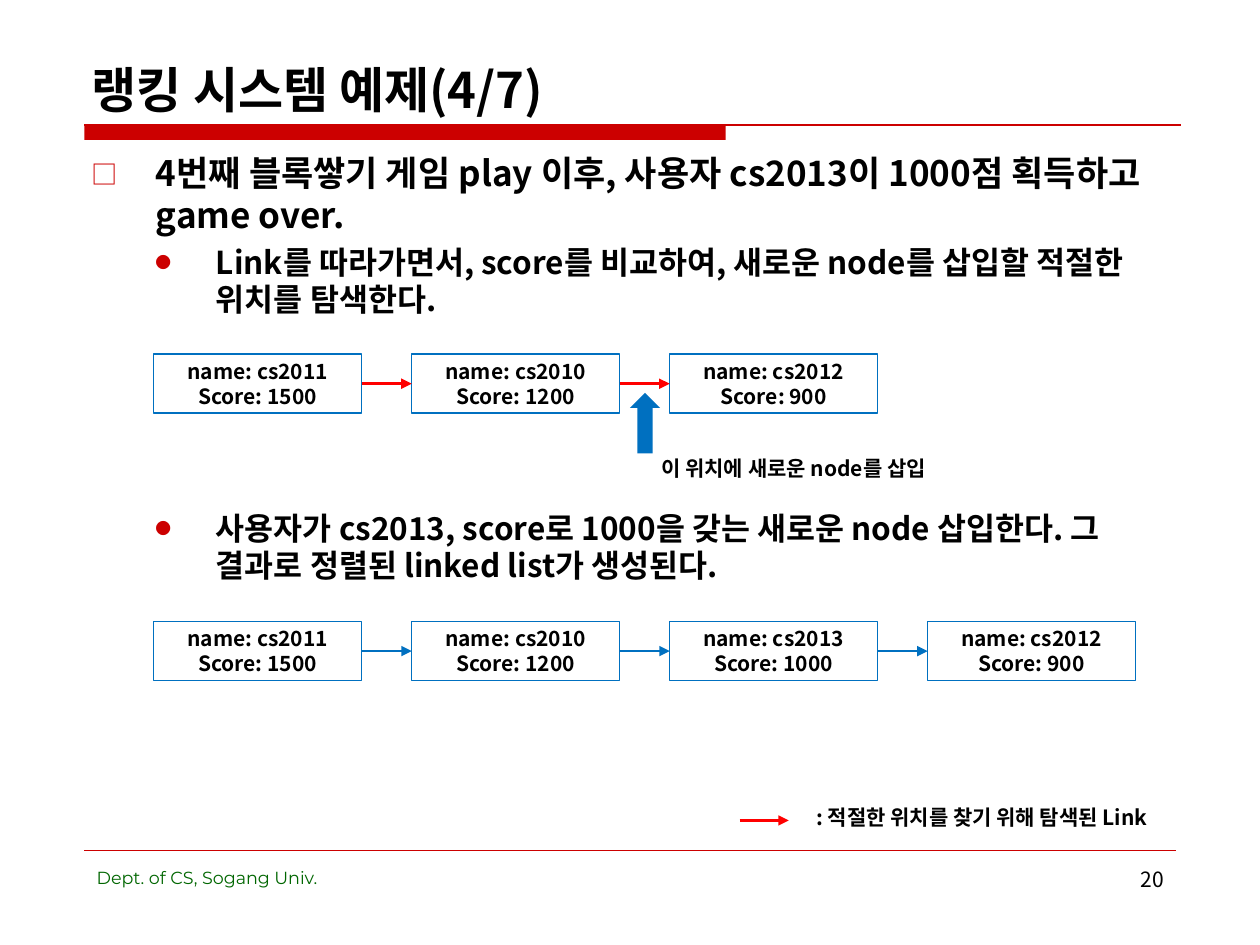
from lxml import etree
from pptx import Presentation
from pptx.dml.color import RGBColor
from pptx.enum.shapes import MSO_CONNECTOR, MSO_SHAPE
from pptx.enum.text import MSO_ANCHOR, MSO_AUTO_SIZE, PP_ALIGN
from pptx.oxml.ns import qn
from pptx.util import Cm, Pt

RED = RGBColor(0xCC, 0x00, 0x00)
BRIGHT_RED = RGBColor(0xFF, 0x00, 0x00)
BLUE = RGBColor(0x00, 0x70, 0xC0)
GREEN = RGBColor(0x00, 0x66, 0x00)
BLACK = RGBColor(0x00, 0x00, 0x00)
KOREAN_FONT = "Noto Sans CJK KR"
LATIN_FONT = "Montserrat"
LEFT, CENTER, RIGHT = PP_ALIGN.LEFT, PP_ALIGN.CENTER, PP_ALIGN.RIGHT
TOP, MIDDLE, BOTTOM = MSO_ANCHOR.TOP, MSO_ANCHOR.MIDDLE, MSO_ANCHOR.BOTTOM
LINE_HEIGHT = 1.19


def write(frame, lines, size, align=LEFT, anchor=TOP, wrap=True,
          bold=True, color=BLACK, font=KOREAN_FONT):
    """Fill a text frame with one formatted paragraph per line."""
    frame.auto_size = MSO_AUTO_SIZE.NONE
    frame.word_wrap = wrap
    frame.vertical_anchor = anchor
    for index, line in enumerate(lines):
        para = frame.paragraphs[0] if index == 0 else frame.add_paragraph()
        para.alignment = align
        para.space_before = Pt(0)
        para.line_spacing = Pt(round(size * LINE_HEIGHT, 1))
        span = para.add_run()
        span.text = line
        formats = {"size": Pt(size), "bold": bold, "name": font}
        for name, value in formats.items():
            setattr(span.font, name, value)
        span.font.color.rgb = color
        east_asian = etree.SubElement(span.font._element, qn("a:ea"))
        east_asian.set("typeface", font)


def add_line(start, end, y, color, width, arrow=False):
    """Draw a horizontal line, with an arrowhead at its end if wanted."""
    line = page.shapes.add_connector(
        MSO_CONNECTOR.STRAIGHT, Cm(start), Cm(y), Cm(end), Cm(y))
    line.line.color.rgb = color
    line.line.width = Pt(width)
    if arrow:
        tail = etree.SubElement(line.line._get_or_add_ln(), qn("a:tailEnd"))
        tail.set("type", "triangle")
    etree.SubElement(line._element.spPr, qn("a:effectLst"))


deck = Presentation()
deck.slide_width, deck.slide_height = Cm(25.4), Cm(19.05)
page = deck.slides.add_slide(deck.slide_layouts[1])

# Title and its rule
title = page.shapes.title
title.left, title.top, title.width, title.height = Cm(1.6), Cm(0.84), Cm(22.22), Cm(1.68)
write(title.text_frame, ["랭킹 시스템 예제(4/7)"], 28, anchor=BOTTOM)
add_line(1.7, 23.8, 2.52, RED, 0.75)

# Solid shapes: title bar and insertion arrow
solids = [
    (MSO_SHAPE.RECTANGLE, 1.7, 2.52, 12.93, 0.3, RED),
    (MSO_SHAPE.UP_ARROW, 12.7, 7.92, 0.61, 1.22, BLUE),
]
for kind, left, top, width, height, color in solids:
    solid = page.shapes.add_shape(kind, Cm(left), Cm(top), Cm(width), Cm(height))
    solid.shadow.inherit = False
    solid.fill.solid()
    solid.fill.fore_color.rgb = color
    solid.line.fill.background()

# Bulleted list; the last item leaves room for the first linked list
body = page.placeholders[1]
body.left, body.top, body.width, body.height = Cm(1.59), Cm(2.94), Cm(22.22), Cm(13.79)
items = [
    ("4번째 블록쌓기 게임 play 이후, 사용자 cs2013이 1000점 획득하고 game over.", 0, 0),
    ("Link를 따라가면서, score를 비교하여, 새로운 node를 삽입할 적절한 위치를 탐색한다.", 1, 4.5),
    ("사용자가 cs2013, score로 1000을 갖는 새로운 node 삽입한다. "
     "그 결과로 정렬된 linked list가 생성된다.", 1, 109),
]
# Per level: text size, left margin, hanging indent, bullet, bullet size
levels = [(20, 1.3, -1.3, "□", "75000"), (18, 2.51, -1.22, "●", "50000")]
write(body.text_frame, [text for text, _, _ in items], 20)
for para, (_, level, space) in zip(body.text_frame.paragraphs, items):
    size, margin, indent, mark, mark_size = levels[level]
    para.level = level
    para.space_before = Pt(space)
    para.line_spacing = Pt(round(size * LINE_HEIGHT, 1))
    props = para._p.get_or_add_pPr()
    props.set("marL", str(Cm(margin)))
    props.set("indent", str(Cm(indent)))
    bullet_color = etree.SubElement(props, qn("a:buClr"))
    etree.SubElement(bullet_color, qn("a:srgbClr")).set("val", str(RED))
    for tag, name, value in [("a:buSzPct", "val", mark_size),
                             ("a:buFont", "typeface", KOREAN_FONT),
                             ("a:buChar", "char", mark)]:
        etree.SubElement(props, qn(tag)).set(name, value)
    para.runs[0].font.size = Pt(size)

# Linked lists before and after the insertion
NODE_LEFT, NODE_WIDTH, NODE_HEIGHT, NODE_PITCH = 3.1, 4.19, 1.19, 5.2
linked_lists = [
    (7.14, BRIGHT_RED, 2,
     [("cs2011", 1500), ("cs2010", 1200), ("cs2012", 900)]),
    (12.53, BLUE, 0.75,
     [("cs2011", 1500), ("cs2010", 1200), ("cs2013", 1000), ("cs2012", 900)]),
]
for top, link_color, link_width, nodes in linked_lists:
    for index, (user, score) in enumerate(nodes):
        left = NODE_LEFT + index * NODE_PITCH
        node = page.shapes.add_shape(
            MSO_SHAPE.RECTANGLE, Cm(left), Cm(top), Cm(NODE_WIDTH), Cm(NODE_HEIGHT))
        node.shadow.inherit = False
        node.fill.background()
        node.line.color.rgb = BLUE
        node.line.width = Pt(0.75)
        write(node.text_frame, [f"name: {user}", f"Score: {score}"], 12,
              CENTER, MIDDLE, wrap=False)
        if index:
            add_line(left - NODE_PITCH + NODE_WIDTH, left, top + NODE_HEIGHT / 2,
                     link_color, link_width, arrow=True)

# Legend arrow and footer rule
add_line(14.91, 15.9, 16.54, BRIGHT_RED, 1.5, arrow=True)
add_line(1.7, 23.7, 17.15, RED, 0.25)

# Labels and footer
centered = {"align": CENTER, "anchor": MIDDLE, "wrap": False}
labels = [
    ("이 위치에 새로운 node를 삽입", 12.9, 8.94, 6.2, 0.99, 12, centered),
    (": 적절한 위치를 찾기 위해 탐색된 Link", 16.1, 15.98, 7.39, 0.99, 12, centered),
    ("Dept. of CS, Sogang Univ.", 1.7, 17.35, 9.02, 1.32, 10,
     {"bold": False, "color": GREEN, "font": LATIN_FONT}),
    ("20", 18.21, 17.35, 5.51, 1.32, 12, {"bold": False, "align": RIGHT}),
]
for text, left, top, width, height, size, style in labels:
    box = page.shapes.add_textbox(Cm(left), Cm(top), Cm(width), Cm(height))
    write(box.text_frame, [text], size, **style)

deck.save("out.pptx")
